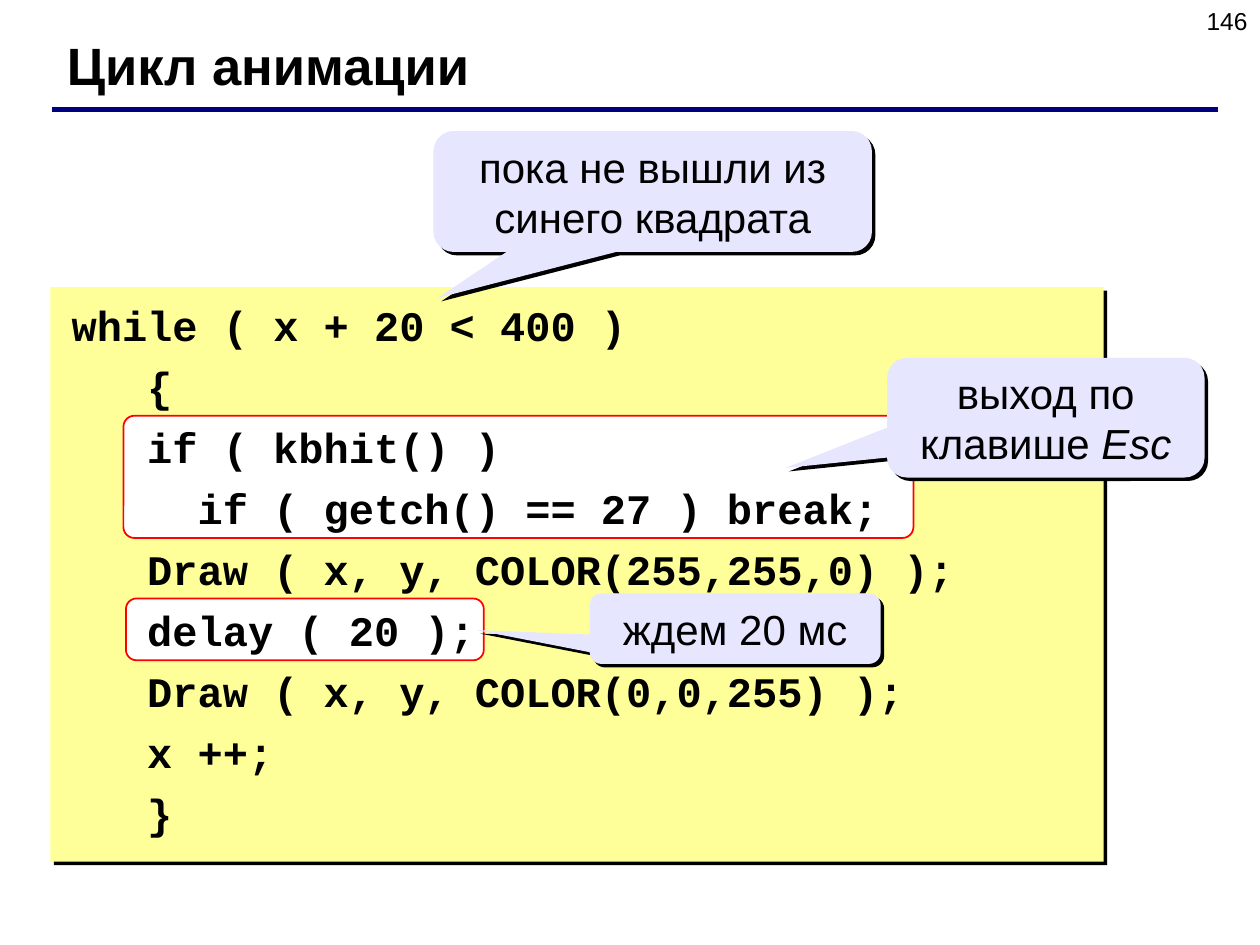
from pptx import Presentation
from pptx.dml.color import RGBColor
from pptx.enum.shapes import MSO_CONNECTOR, MSO_SHAPE as Shape
from pptx.enum.text import MSO_ANCHOR as Anchor, MSO_AUTO_SIZE as AutoSize, PP_ALIGN as Align
from pptx.oxml import parse_xml
from pptx.oxml.ns import nsdecls
from pptx.util import Inches, Pt

COLORS = {"text": "000000", "rule": "000080", "code": "FFFF99",
          "frame": "FF0000", "inside": "FFFFFF", "callout": "E6E6FF"}
rgb = {part: RGBColor.from_string(value) for part, value in COLORS.items()}

# Grid of 100 columns by 75 rows
prs = Presentation()
prs.slide_width, prs.slide_height = Inches(10), Inches(7.5)
CELL = prs.slide_width / 100
slide = prs.slides.add_slide(prs.slide_layouts[5])


def add_box(kind, cells, fill, shadow=False):
    box = slide.shapes.add_shape(kind, *[int(n * CELL) for n in cells])
    box.fill.solid()
    box.fill.fore_color.rgb = rgb[fill]
    box.line.fill.background()
    box.shadow.inherit = False
    if shadow:
        effects = box._element.spPr.find(".//{*}effectLst")
        effects.append(parse_xml(
            f'<a:outerShdw {nsdecls("a")} dist="{Pt(2.8)}" dir="2700000" algn="ctr" rotWithShape="0">'
            f'<a:srgbClr val="{COLORS["text"]}"/></a:outerShdw>'))
    return box


def format_text(paragraph, size, font="Arial", bold=False, align=Align.LEFT):
    paragraph.alignment = align
    for run in paragraph.runs:
        run.font.size, run.font.name, run.font.bold = Pt(size), font, bold
        run.font.color.rgb = rgb["text"]


# Title
title = slide.shapes.title
title.left, title.top, title.width, title.height = [int(n * CELL) for n in (4.3, 2.1, 89, 6)]
title.text_frame.text = "Цикл анимации"
title.text_frame.auto_size = AutoSize.NONE
title.text_frame.vertical_anchor = Anchor.MIDDLE
format_text(title.text_frame.paragraphs[0], 30, bold=True)

# Slide number
number = slide.shapes.add_textbox(*[int(n * CELL) for n in (76.7, 0, 23.3, 5.2)])
number.text_frame.text = "146"
number.text_frame.word_wrap = True
format_text(number.text_frame.paragraphs[0], 14, align=Align.RIGHT)

# Rule under the title
rule = slide.shapes.add_connector(
    MSO_CONNECTOR.STRAIGHT, *[int(n * CELL) for n in (4.1, 8.7, 96.7, 8.7)])
rule.line.color.rgb = rgb["rule"]
rule.line.width = Pt(3)
rule._element.spPr.append(parse_xml(f'<a:effectLst {nsdecls("a")}/>'))

# Code panel and the frames around the lines explained
add_box(Shape.RECTANGLE, (4, 22.8, 83.6, 45.6), "code", shadow=True)
for cells, corner in (((9.8, 33, 62.7, 9.7), 0.09), ((10, 47.5, 28.4, 4.9), 0.17)):
    frame = add_box(Shape.ROUNDED_RECTANGLE, cells, "inside")
    frame.adjustments[0] = corner
    frame.line.color.rgb = rgb["frame"]
    frame.line.width = Pt(1)

# Code: indent in characters, then the statement
CODE = [(0, "while ( x + 20 < 400 )"),
        (3, "{"),
        (3, "if ( kbhit() )"),
        (5, "if ( getch() == 27 ) break;"),
        (3, "Draw ( x, y, COLOR(255,255,0) );"),
        (3, "delay ( 20 );"),
        (3, "Draw ( x, y, COLOR(0,0,255) );"),
        (3, "x ++;"),
        (3, "}")]
CHARACTER = Inches(0.2)
listing = slide.shapes.add_textbox(*[int(n * CELL) for n in (4.7, 23.3, 80.3, 44.1)])
listing.text_frame.word_wrap = True
listing.text_frame.text = "\n".join(statement for _, statement in CODE)
for line, (indent, _) in zip(listing.text_frame.paragraphs, CODE):
    format_text(line, 24, "Courier New", bold=True)
    line.space_before = Pt(6)
    line._p.get_or_add_pPr().set("marL", str(indent * CHARACTER))

# Callouts: cells, pointer tip, plain words, words in italics
CALLOUTS = [((70.4, 28.4, 25.2, 9.5), (-0.82, 0.42), "выход по клавише ", "Esc"),
            ((46.8, 47.1, 23.1, 5.6), (-0.89, 0.02), "ждем 20 мс", ""),
            ((34.4, 10.4, 34.8, 9.6), (-0.49, 0.88), "пока не вышли из синего квадрата", "")]
for cells, tip, words, key in CALLOUTS:
    callout = add_box(Shape.ROUNDED_RECTANGULAR_CALLOUT, cells, "callout", shadow=True)
    callout.adjustments[0], callout.adjustments[1] = tip
    callout.text_frame.word_wrap = True
    callout.text_frame.vertical_anchor = Anchor.MIDDLE
    callout.text_frame.text = words
    remark = callout.text_frame.paragraphs[0]
    if key:
        key_run = remark.add_run()
        key_run.text = key
        key_run.font.italic = True
    format_text(remark, 24, align=Align.CENTER)

prs.save("out.pptx")
